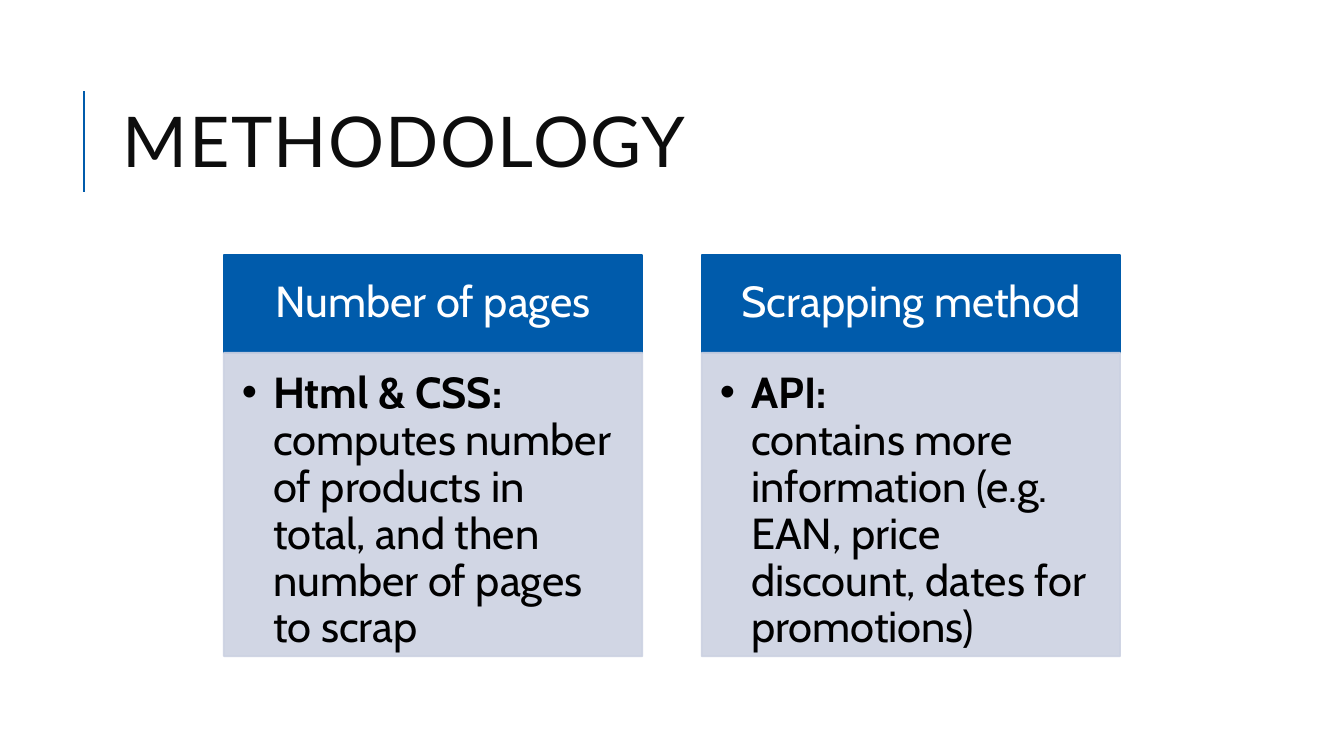
"""Build the Methodology slide with two titled cards."""
from pptx import Presentation
from pptx.dml.color import RGBColor
from pptx.enum.shapes import MSO_CONNECTOR as Conn, MSO_SHAPE as Kind
from pptx.enum.text import MSO_ANCHOR as Anchor, PP_ALIGN as Align
from pptx.oxml.ns import qn
from pptx.util import Inches, Pt
from lxml.etree import SubElement

BLUE = RGBColor(0x00, 0x5B, 0xAB)
PALE = RGBColor(0xCC, 0xD2, 0xE2)
WHITE = RGBColor(0xFF, 0xFF, 0xFF)
BLACK = RGBColor(0x00, 0x00, 0x00)
INK = RGBColor(0x0D, 0x0D, 0x0D)

LEFT, STEP, WIDE = 2.22, 4.74, 4.15
TOP, HEAD, BODY = 2.53, 0.97, 3.01
CARDS = [
    ("Number of pages", "Html & CSS: ", False,
     "computes number of products in total, and then number of pages to scrap"),
    ("Scrapping method", "API:", True,
     "contains more information (e.g. EAN, price discount, dates for promotions)"),
]


def add_run(para, text, face, size, color, bold=False):
    run = para.add_run()
    run.text = text
    run.font.color.rgb = color
    for key, val in {"name": face, "size": Pt(size), "bold": bold}.items():
        setattr(run.font, key, val)
    return run


def add_box(left, top, high, color, pads, anchor, align):
    box = slide.shapes.add_shape(
        Kind.RECTANGLE, Inches(left), Inches(top), Inches(WIDE), Inches(high))
    box.shadow.inherit = False
    box.fill.solid()
    box.fill.fore_color.rgb = color
    box.line.color.rgb = color
    box.line.width = Pt(1.25)
    frame = box.text_frame
    frame.word_wrap = True
    frame.vertical_anchor = anchor
    for side, pad in zip(("left", "top", "right", "bottom"), pads):
        setattr(frame, "margin_" + side, Inches(pad))
    para = frame.paragraphs[0]
    para.alignment = align
    para.line_spacing = 0.9
    return box, para


deck = Presentation()
deck.slide_width, deck.slide_height = Inches(13.33), Inches(7.5)
slide = deck.slides.add_slide(deck.slide_layouts[6])

rule = slide.shapes.add_connector(
    Conn.STRAIGHT, Inches(0.83), Inches(1.9), Inches(0.83), Inches(0.9))
rule.line.color.rgb = BLUE
rule.line.width = Pt(1.5)
SubElement(rule._element.spPr, qn("a:effectLst"))

title = slide.shapes.add_textbox(
    Inches(1.12), Inches(0.64), Inches(10.63), Inches(1.64)).text_frame
title.word_wrap = True
title.vertical_anchor = Anchor.MIDDLE
para = title.paragraphs[0]
para.line_spacing = 0.8
run = add_run(para, "METHODOLOGY", "Lato", 50, INK)
run.font._element.set("spc", "100")

for col, (name, term, split, text) in enumerate(CARDS):
    left = LEFT + col * STEP
    _, para = add_box(left, TOP, HEAD, BLUE, (0.24, 0.14, 0.24, 0.14),
                      Anchor.MIDDLE, Align.CENTER)
    add_run(para, name, "Cabin", 31, WHITE)

    box, para = add_box(left, TOP + HEAD, BODY, PALE, (0.18, 0.18, 0.24, 0.27),
                        Anchor.TOP, Align.LEFT)
    for tint in box._element.spPr.iter(qn("a:srgbClr")):
        SubElement(tint, qn("a:alpha")).set("val", "90000")
    props = para._p.get_or_add_pPr()
    props.set("marL", str(Inches(0.31)))
    props.set("indent", str(Inches(-0.31)))
    SubElement(props, qn("a:buFont")).set("typeface", "Arial")
    SubElement(props, qn("a:buChar")).set("char", "•")
    add_run(para, term, "Cabin", 31, BLACK, True)
    if split:
        para.add_line_break()
    add_run(para, text, "Cabin", 31, BLACK)

deck.save("out.pptx")
